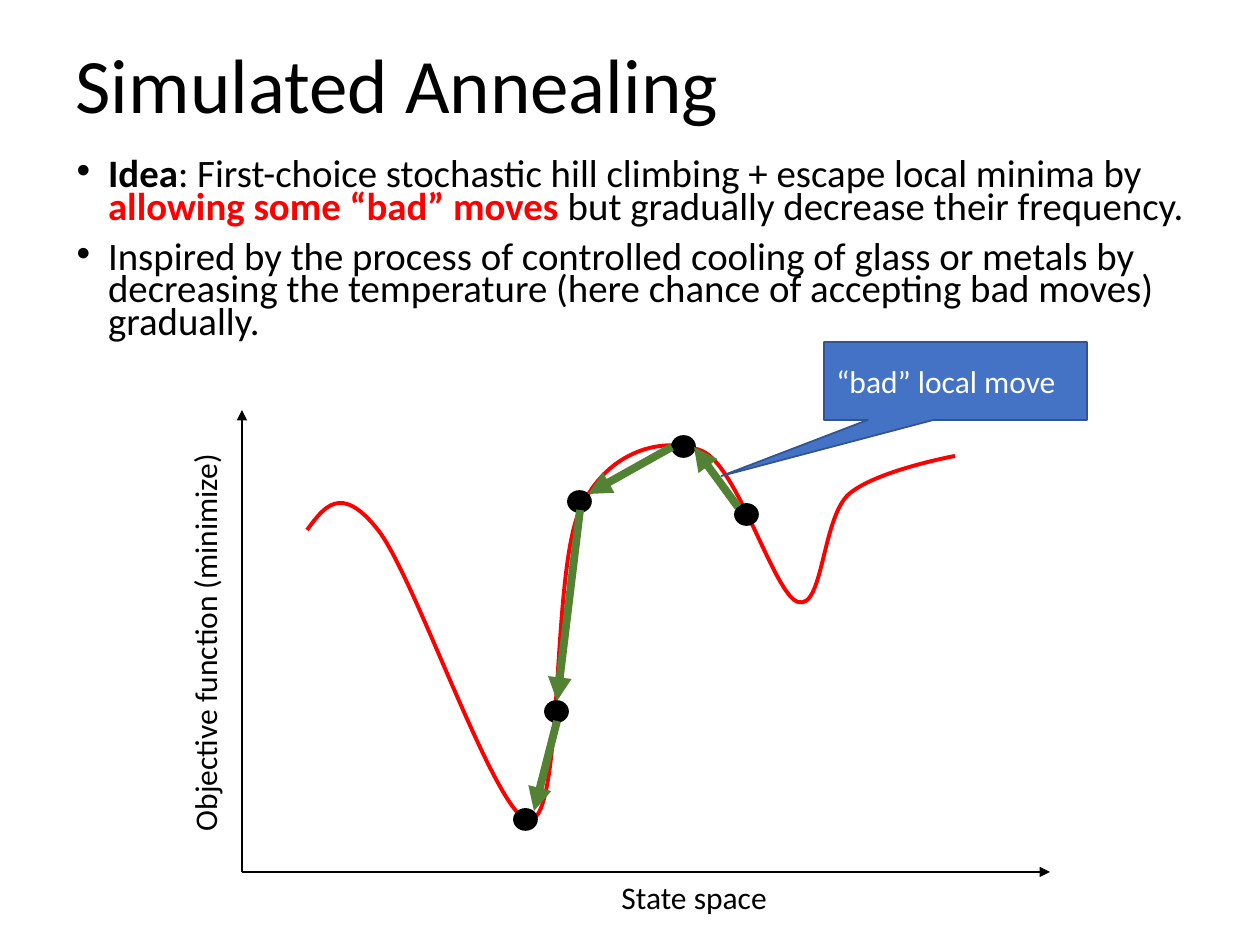
"""Build the Simulated Annealing slide."""
import lxml.etree
import pptx
import pptx.dml.color
import pptx.enum.shapes
import pptx.enum.text
import pptx.oxml.ns
import pptx.util

SCALE = 914400 / 126
COLORS = {"black": "000000", "white": "FFFFFF", "red": "FF0000", "blue": "4472C4",
          "navy": "325491", "green": "548235"}
SHAPES = pptx.enum.shapes.MSO_SHAPE
ALIGN = pptx.enum.text.PP_ALIGN
ANCHOR = pptx.enum.text.MSO_ANCHOR
AUTO = pptx.enum.text.MSO_AUTO_SIZE
qn = pptx.oxml.ns.qn

DOTS = [(514, 809), (735, 504), (672, 436), (568, 491), (545, 701)]
AXES = [(242, 872, 242, 410), (242, 872, 1050, 872)]
MOVES = [(672, 447, 588, 494), (580, 510, 557, 701),
         (738, 507, 694, 447), (557, 721, 534, 811)]
CURVE = [(307, 530),
         (324, 507), (341, 483), (378, 530),
         (416, 578), (498, 824), (530, 820),
         (564, 818), (551, 572), (580, 510),
         (607, 449), (665, 436), (702, 451),
         (738, 466), (774, 595), (798, 602),
         (823, 610), (822, 520), (848, 495),
         (874, 471), (955, 456), (955, 456)]
BULLETS = [
    [("Idea", {"bold": True}),
     (": First-choice stochastic hill climbing + escape local minima by ", {}),
     ("allowing some “bad” moves ", {"bold": True, "color": "red"}),
     ("but gradually decrease their frequency.", {})],
    [("Inspired by the process of controlled cooling of glass or metals by decreasing "
      "the temperature (here chance of accepting bad moves) gradually.", {})],
]


def px(n):
    """Turn px into EMU."""
    return pptx.util.Emu(round(n * SCALE))


def rgb(name):
    """Look up a named colour."""
    return pptx.dml.color.RGBColor.from_string(COLORS[name])


def write(p, text, size=18, color="black", bold=False):
    """Add a formatted run to a paragraph."""
    r = p.add_run()
    r.text = text
    r.font.name = "Calibri"
    r.font.size = pptx.util.Pt(size)
    r.font.bold = bold
    r.font.color.rgb = rgb(color)


def stroke(s, color, width):
    """Set the line colour and width."""
    s.line.color.rgb = rgb(color)
    s.line.width = pptx.util.Pt(width)


def place(s, x, y, w, h):
    """Move and size a placeholder."""
    s.left, s.top, s.width, s.height = px(x), px(y), px(w), px(h)
    s.text_frame.word_wrap = True
    s.text_frame.auto_size = AUTO.NONE
    return s.text_frame


def add_title(slide, text):
    """Fill the title placeholder."""
    tf = place(slide.shapes.title, 63, 10, 1134, 158)
    tf.vertical_anchor = ANCHOR.MIDDLE
    p = tf.paragraphs[0]
    p.alignment = ALIGN.LEFT
    p.line_spacing = 0.9
    write(p, text, size=44)


def add_bullets(slide, bullets):
    """Fill the body placeholder with bulleted paragraphs."""
    tf = place(slide.placeholders[1], 64, 155, 1134, 199)
    tf.vertical_anchor = ANCHOR.TOP
    for i, runs in enumerate(bullets):
        p = tf.add_paragraph() if i else tf.paragraphs[0]
        pPr = p._p.get_or_add_pPr()
        pPr.set("marL", "228600")
        pPr.set("indent", "-228600")
        p.line_spacing = 0.7
        p.space_before = pptx.util.Pt(10 if i else 0)
        for text, fmt in runs:
            write(p, text, size=22.2, **fmt)


def add_label(slide, text, x, y, w, h, rotation=0, wrap=True):
    """Add an axis label."""
    s = slide.shapes.add_textbox(px(x), px(y), px(w), px(h))
    s.rotation = rotation
    tf = s.text_frame
    tf.word_wrap = wrap
    tf.auto_size = AUTO.SHAPE_TO_FIT_TEXT
    write(tf.paragraphs[0], text)


def add_shape(slide, kind, x, y, w, h, fill, line):
    """Add a filled preset shape."""
    s = slide.shapes.add_shape(kind, px(x), px(y), px(w), px(h))
    s.shadow.inherit = False
    s.fill.solid()
    s.fill.fore_color.rgb = rgb(fill)
    stroke(s, line, 1)
    return s


def add_callout(slide, text):
    """Add the callout that points at the bad move."""
    s = add_shape(slide, SHAPES.RECTANGULAR_CALLOUT, 824, 342, 263, 78, "blue", "navy")
    s.adjustments[0], s.adjustments[1] = -0.89, 1.219
    s.text_frame.vertical_anchor = ANCHOR.MIDDLE
    p = s.text_frame.paragraphs[0]
    p.alignment = ALIGN.LEFT
    write(p, text, color="white")


def add_arrow(slide, ends, color, width):
    """Add a straight arrow."""
    s = slide.shapes.add_connector(pptx.enum.shapes.MSO_CONNECTOR.STRAIGHT,
                                   *[px(n) for n in ends])
    stroke(s, color, width)
    spPr = s._element.spPr
    lxml.etree.SubElement(spPr.find(qn("a:ln")), qn("a:tailEnd"), type="triangle")
    lxml.etree.SubElement(spPr, qn("a:effectLst"))


def add_curve(slide, points):
    """Add an open outline of cubic segments, three points to a segment."""
    builder = slide.shapes.build_freeform(*points[0], scale=SCALE)
    builder.add_line_segments(points[1:], close=False)
    s = builder.convert_to_shape()
    s.shadow.inherit = False
    s.fill.background()
    stroke(s, "red", 2.25)
    path = next(s._element.iter(qn("a:path")))
    steps = path.findall(qn("a:lnTo"))
    for i in range(0, len(steps), 3):
        bezier = lxml.etree.SubElement(path, qn("a:cubicBezTo"))
        for step in steps[i:i + 3]:
            bezier.append(step[0])
            path.remove(step)


def main():
    """Build and save the slide."""
    prs = pptx.Presentation()
    prs.slide_width, prs.slide_height = px(1260), px(945)
    slide = prs.slides.add_slide(prs.slide_layouts[1])
    add_title(slide, "Simulated Annealing")
    add_bullets(slide, BULLETS)
    add_curve(slide, CURVE)
    for ends in AXES:
        add_arrow(slide, ends, "black", 1)
    add_label(slide, "Objective function (minimize)", 1, 615, 407, 50,
              rotation=270, wrap=False)
    add_label(slide, "State space", 609, 872, 420, 50)
    add_callout(slide, "“bad” local move")
    for x, y in DOTS:
        add_shape(slide, SHAPES.OVAL, x, y, 23, 21, "black", "black")
    for ends in MOVES:
        add_arrow(slide, ends, "green", 4.5)
    prs.save("out.pptx")


if __name__ == "__main__":
    main()
